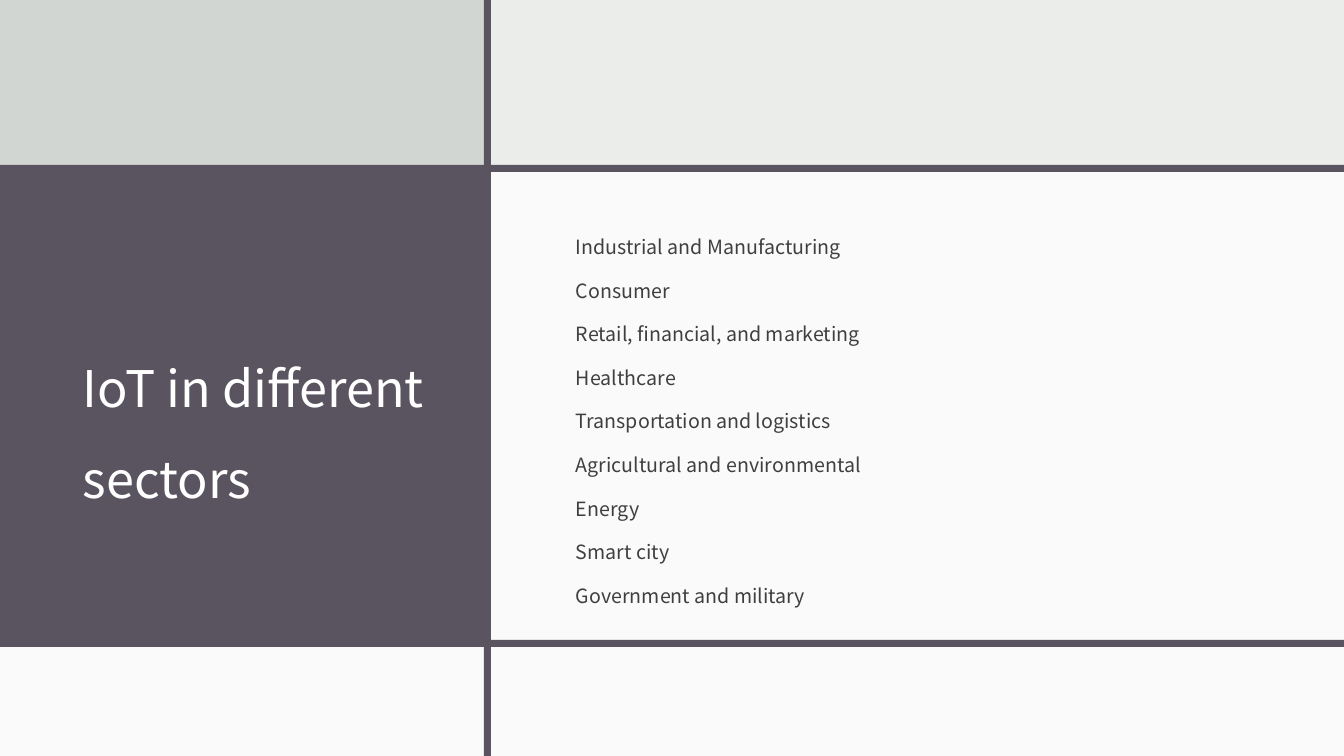
from lxml import etree
from pptx import Presentation
from pptx import util as u
from pptx.dml.color import RGBColor
from pptx.enum import shapes, text
from pptx.oxml.ns import qn

WIDTH, HEIGHT = 1344, 756
EMU_PER_PX = 12192000 / WIDTH
FONT = "Noto Sans CJK JP"
COLORS = {
    "backdrop": "EBEDEB",
    "plum": "595460",
    "sage": "D2D6D2",
    "white": "FFFFFF",
    "ink": "3F3F3F",
}

# Grid: one column split, two row splits, bars of equal thickness
COLUMN = 488
TOP_ROW, BOTTOM_ROW = 167, 646
BAR = 7
TEXT_TOP, TEXT_HEIGHT = 216, 401

SECTORS = [
    "Industrial and Manufacturing",
    "Consumer",
    "Retail, financial, and marketing",
    "Healthcare",
    "Transportation and logistics",
    "Agricultural and environmental",
    "Energy",
    "Smart city",
    "Government and military",
]


def px(length):
    return u.Emu(round(length * EMU_PER_PX))


def color(name):
    return RGBColor.from_string(COLORS[name])


def add_panel(page, left, top, width, height, fill, opacity=100):
    panel = page.shapes.add_shape(
        shapes.MSO_SHAPE.RECTANGLE, px(left), px(top), px(width), px(height))
    panel.shadow.inherit = False
    panel.line.fill.background()
    panel.fill.solid()
    panel.fill.fore_color.rgb = color(fill)
    if opacity < 100:
        tint = panel.fill._xPr.find(".//" + qn("a:srgbClr"))
        etree.SubElement(tint, qn("a:alpha"), val=str(opacity * 1000))


def add_text(page, left, width, lines, size, fill, spacing, gap=0):
    box = page.shapes.add_textbox(
        px(left), px(TEXT_TOP), px(width), px(TEXT_HEIGHT))
    frame = box.text_frame
    frame.word_wrap = True
    frame.vertical_anchor = text.MSO_ANCHOR.MIDDLE
    frame.margin_left = frame.margin_right = frame.margin_top = px(12)
    frame.margin_bottom = px(10)
    frame.text = "\n".join(lines)
    for index, para in enumerate(frame.paragraphs):
        para.line_spacing = spacing
        para.space_before = u.Pt(gap if index else 0)
        para.font.name = FONT
        para.font.size = u.Pt(size)
        para.font.color.rgb = color(fill)


def main():
    deck = Presentation()
    deck.slide_width, deck.slide_height = px(WIDTH), px(HEIGHT)
    page = deck.slides.add_slide(deck.slide_layouts[6])

    # Backdrop and title block
    add_panel(page, 0, 0, WIDTH, HEIGHT, "backdrop")
    add_panel(page, 0, 165, COLUMN, 482, "plum")
    add_text(page, 71, 376, ["IoT in different sectors"], 36, "white", 1.5)

    # Grid cells and the bars between them
    add_panel(page, 0, 0, COLUMN, TOP_ROW, "sage")
    add_panel(page, COLUMN, TOP_ROW, WIDTH - COLUMN, BOTTOM_ROW - TOP_ROW,
              "white", 75)
    add_panel(page, 0, 165, WIDTH, BAR, "plum")
    add_panel(page, 0, BOTTOM_ROW, WIDTH, HEIGHT - BOTTOM_ROW, "white", 75)
    add_panel(page, 0, 640, WIDTH, BAR, "plum")
    add_panel(page, 484, 0, BAR, HEIGHT, "plum")

    # Sector list
    add_text(page, 564, 709, SECTORS, 14, "ink", 1.3, gap=9.3)

    deck.save("out.pptx")


if __name__ == "__main__":
    main()
